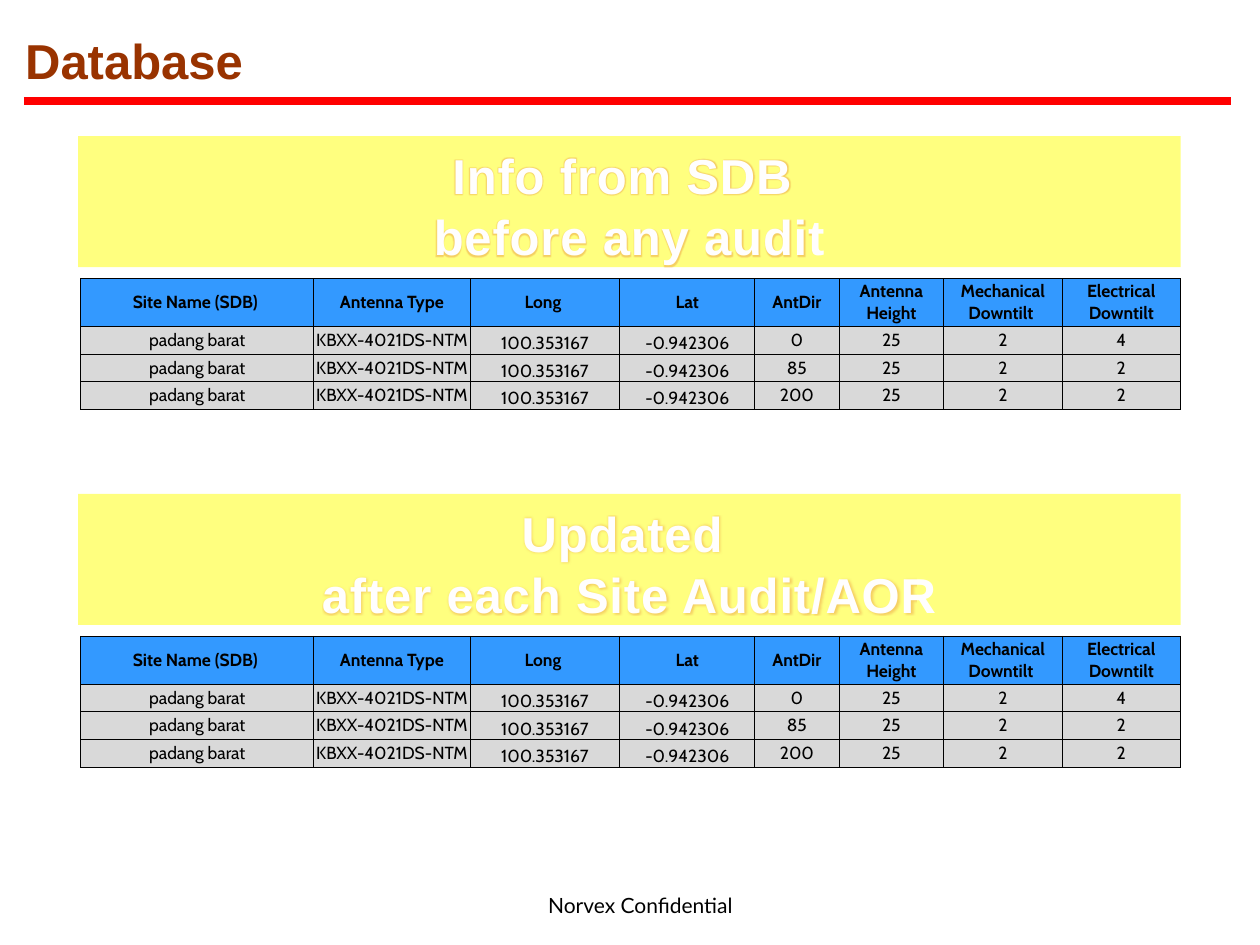
"""Build the site database slide: antenna records before and after each audit."""
from lxml import etree
from pptx import Presentation, util as u
from pptx.dml.color import RGBColor
from pptx.enum import shapes, text
from pptx.oxml import ns

TITLE = "Database"
FOOTER = "Norvex Confidential"
SECTIONS = [
    (1.08, ["Info from SDB ", "before any audit"]),
    (3.92, ["Updated ", "after each Site Audit/AOR"]),
]
HEADER = ["Site Name (SDB) ", "Antenna Type", "Long ", "Lat", "AntDir",
          "Antenna Height", "Mechanical Downtilt ", "Electrical Downtilt"]
SITE = ["padang barat", "KBXX-4021DS-NTM", "100.353167", "-0.942306"]
SECTORS = [["0", "25", "2", "4"], ["85", "25", "2", "2"], ["200", "25", "2", "2"]]
ROWS = [HEADER] + [SITE + sector for sector in SECTORS]

COLUMN_WIDTHS = [1.85, 1.24, 1.19, 1.07, 0.67, 0.83, 0.94, 0.94]
ROW_HEIGHTS = [0.38] + [0.22] * len(SECTORS)
BOTTOM_COLUMNS = (2, 3)
BANNER = {"left": 0.62, "width": 8.75, "height": 1.04}
TABLE_LEFT, TABLE_DROP = 0.64, 1.13

HEADING = {"name": "Arial", "size": u.Pt(28), "bold": True}
HEAD_CELL = {"name": "Cabin", "size": u.Pt(10), "bold": True}
BODY_CELL = {**HEAD_CELL, "bold": False}
PLAIN = {"name": "Lato", "size": u.Pt(12), "bold": False}
INSETS = {"margin_left": u.Inches(0.09), "margin_right": u.Inches(0.09),
          "margin_top": u.Inches(0.04), "margin_bottom": u.Inches(0.04)}
NO_INSETS = dict.fromkeys(INSETS, 0)


def rgb(value):
    return RGBColor.from_string(value)


def inches(*values):
    return [u.Inches(value) for value in values]


def apply(target, values):
    for name, value in values.items():
        setattr(target, name, value)


def add_xml(parent, tag, **attributes):
    return etree.SubElement(parent, ns.qn(tag), attributes)


def write(para, words, style, color, align=text.PP_ALIGN.LEFT):
    para.alignment = align
    span = para.add_run()
    span.text = words
    apply(span.font, style)
    span.font.color.rgb = rgb(color)
    return span


def add_solid(parent, color):
    return add_xml(add_xml(parent, "a:solidFill"), "a:srgbClr", val=color)


def decorate(span):
    props = span.font._element
    props.set("spc", "50")
    outline = etree.Element(ns.qn("a:ln"), w=str(u.Pt(1)))
    add_solid(outline, "E78738")
    props.insert(0, outline)
    effects = etree.Element(ns.qn("a:effectLst"))
    glow = add_xml(effects, "a:glow", rad=str(u.Pt(2)))
    color = add_xml(glow, "a:srgbClr", val="E78738")
    add_xml(color, "a:alpha", val="40000")
    props.find(ns.qn("a:solidFill")).addnext(effects)


def add_banner(page, top, lines):
    box = page.shapes.add_shape(
        shapes.MSO_SHAPE.RECTANGLE,
        *inches(BANNER["left"], top, BANNER["width"], BANNER["height"]))
    box.shadow.inherit = False
    box.fill.solid()
    box.fill.fore_color.rgb = rgb("FFFF00")
    color = box._element.spPr.find(ns.qn("a:solidFill"))[0]
    add_xml(color, "a:alpha", val="50000")
    box.line.fill.background()
    frame = box.text_frame
    frame.word_wrap = True
    frame.vertical_anchor = text.MSO_ANCHOR.TOP
    for index, line in enumerate(lines):
        para = frame.add_paragraph() if index else frame.paragraphs[0]
        para.line_spacing = 1.05
        decorate(write(para, line, HEADING, "FFFEFE", text.PP_ALIGN.CENTER))


def format_cell(cell, words, style, fill, anchor):
    props = cell._tc.get_or_add_tcPr()
    for side in ("a:lnL", "a:lnR", "a:lnT", "a:lnB"):
        add_solid(add_xml(props, side, w=str(u.Pt(0.5))), "000000")
    cell.fill.solid()
    cell.fill.fore_color.rgb = rgb(fill)
    apply(cell, {**NO_INSETS, "vertical_anchor": anchor})
    write(cell.text_frame.paragraphs[0], words, style, "000000", text.PP_ALIGN.CENTER)


def add_records(page, top):
    table = page.shapes.add_table(
        len(ROWS), len(HEADER),
        *inches(TABLE_LEFT, top, sum(COLUMN_WIDTHS), sum(ROW_HEIGHTS))).table
    apply(table, {"first_row": False, "horz_banding": False})
    for column, width in zip(table.columns, COLUMN_WIDTHS):
        column.width = u.Inches(width)
    for row, height in zip(table.rows, ROW_HEIGHTS):
        row.height = u.Inches(height)
    for r, values in enumerate(ROWS):
        style, fill = (BODY_CELL, "D9D9D9") if r else (HEAD_CELL, "3399FF")
        for c, words in enumerate(values):
            low = r and c in BOTTOM_COLUMNS
            anchor = text.MSO_ANCHOR.BOTTOM if low else text.MSO_ANCHOR.MIDDLE
            format_cell(table.cell(r, c), words, style, fill, anchor)


def add_frame(page):
    rule = page.shapes.add_connector(
        shapes.MSO_CONNECTOR.STRAIGHT, *inches(0.19, 0.8, 9.77, 0.8))
    rule.line.color.rgb = rgb("FF0000")
    rule.line.width = u.Pt(4.5)
    add_xml(rule._element.spPr, "a:effectLst")

    footer = page.shapes.add_textbox(*inches(4.26, 7.04, 1.69, 0.29))
    apply(footer.text_frame, {**INSETS, "word_wrap": False})
    write(footer.text_frame.paragraphs[0], FOOTER, PLAIN, "000000")

    title = page.shapes.title
    apply(title, dict(zip(("left", "top", "width", "height"), inches(0.11, 0, 8.47, 0.95))))
    apply(title.text_frame, {**INSETS, "vertical_anchor": text.MSO_ANCHOR.MIDDLE})
    write(title.text_frame.paragraphs[0], TITLE, HEADING, "993300")


def main():
    deck = Presentation()
    deck.slide_width, deck.slide_height = inches(10, 7.5)
    page = deck.slides.add_slide(deck.slide_layouts[5])
    add_frame(page)
    for top, lines in SECTIONS:
        add_banner(page, top, lines)
        add_records(page, top + TABLE_DROP)
    deck.save("out.pptx")


if __name__ == "__main__":
    main()
